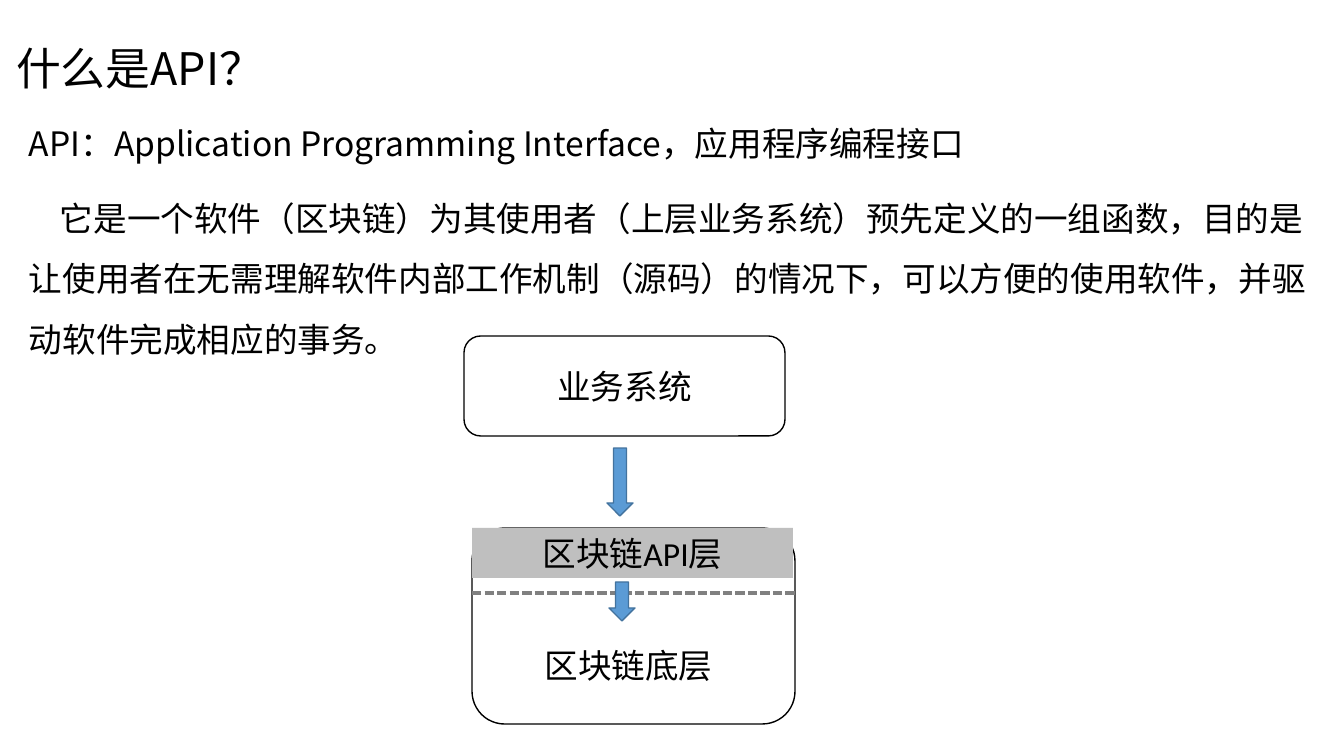
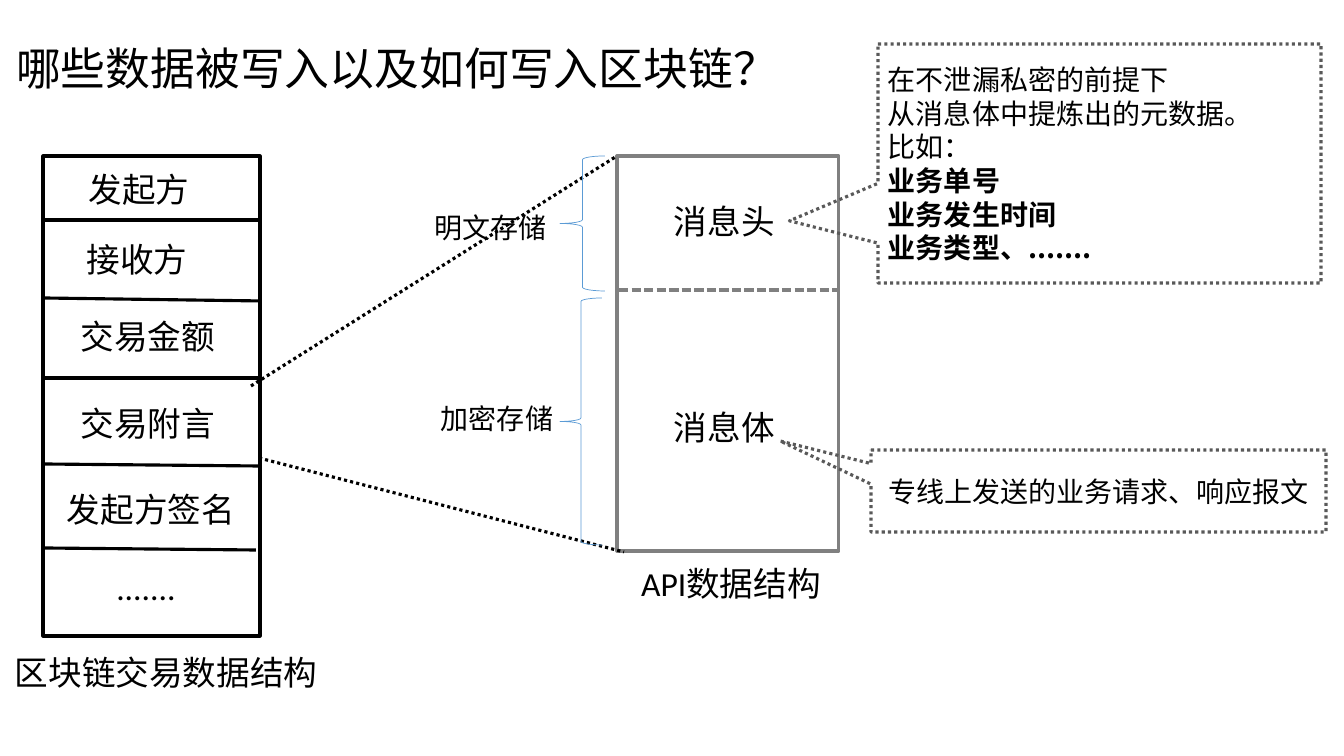
"""Build two slides on what an API is and which data goes on a blockchain."""
from lxml import etree
from pptx import Presentation, util as u
from pptx.dml.color import RGBColor
from pptx.enum import dml, shapes, text
from pptx.oxml import ns

PX = 914400 / 100.8
NOTO, CAL = "Noto Sans CJK SC", "Calibri"
INK = {"black": "000000", "white": "FFFFFF", "grey": "808080", "dark": "595959",
       "pale": "BFBFBF", "blue": "5B9BD5", "navy": "43739E"}
KIND = shapes.MSO_SHAPE
LINE = shapes.MSO_CONNECTOR.STRAIGHT
DASH = dml.MSO_LINE.SQUARE_DOT
DOT = dml.MSO_LINE.ROUND_DOT
LEFT, MID = text.PP_ALIGN.LEFT, text.PP_ALIGN.CENTER
TOP, HALF, LOW = text.MSO_ANCHOR.TOP, text.MSO_ANCHOR.MIDDLE, text.MSO_ANCHOR.BOTTOM


def draw(page, kind, *box, fill=None, line=None, width=1, dash=None):
    """Add a text box, a line (box holds its two ends) or a preset shape."""
    box = [round(n * PX) for n in box]
    if kind is None:
        return page.shapes.add_textbox(*box)
    if kind is LINE:
        item = page.shapes.add_connector(kind, *box)
        etree.SubElement(item._element.spPr, ns.qn("a:effectLst"))
    else:
        item = page.shapes.add_shape(kind, *box)
        item.shadow.inherit = False
        if fill:
            item.fill.solid()
            item.fill.fore_color.rgb = RGBColor.from_string(INK[fill])
        else:
            item.fill.background()
    if line:
        item.line.color.rgb = RGBColor.from_string(INK[line])
        item.line.width = u.Pt(width)
        if dash:
            item.line.dash_style = dash
    else:
        item.line.fill.background()
    return item


def write(item, words, size=24, font=CAL, align=MID, anchor=TOP, bold=(),
          space=None, before=0, indent=()):
    """Fill an item; bold and indent hold paragraph numbers."""
    frame = item.text_frame
    frame.text = words
    frame.word_wrap = True
    frame.auto_size = text.MSO_AUTO_SIZE.NONE
    frame.vertical_anchor = anchor
    for num, para in enumerate(frame.paragraphs):
        para.alignment = align
        para.space_before = u.Pt(before)
        if space:
            para.line_spacing = space
        if num in indent:
            para._p.get_or_add_pPr().set("indent", str(round(31 * PX)))
        for run in para.runs:
            run.font.size = u.Pt(size)
            run.font.name = font
            run.font.bold = num in bold
            run.font.color.rgb = RGBColor.from_string(INK["black"])
            east = etree.SubElement(run._r.get_or_add_rPr(), ns.qn("a:ea"))
            east.set("typeface", NOTO)


deck = Presentation()
deck.slide_width, deck.slide_height = round(1344 * PX), round(756 * PX)
pages = []
for words, wide in [("什么是API？", 528), ("哪些数据被写入以及如何写入区块链？", 804)]:
    page = deck.slides.add_slide(deck.slide_layouts[5])
    title = page.shapes.title
    title.left, title.top, title.width, title.height = [
        round(n * PX) for n in (6, 6, wide, 94)]
    write(title, words, size=32, font=NOTO, align=LEFT, anchor=LOW, space=0.9)
    pages.append(page)
intro, data = pages

body = draw(intro, None, 19, 98, 1302, 291)
write(body, "API：Application Programming Interface，应用程序编程接口\n"
      "它是一个软件（区块链）为其使用者（上层业务系统）预先定义的一组函数，"
      "目的是让使用者在无需理解软件内部工作机制（源码）的情况下，"
      "可以方便的使用软件，并驱动软件完成相应的事务。",
      font=NOTO, align=LEFT, space=1.5, before=10, indent=(1,))
system = draw(intro, KIND.ROUNDED_RECTANGLE, 464, 336, 321, 100,
              fill="white", line="black")
write(system, "业务系统", anchor=HALF)
draw(intro, KIND.DOWN_ARROW, 607, 448, 26, 68, fill="blue", line="navy")
draw(intro, KIND.ROUNDED_RECTANGLE, 472, 528, 323, 196, fill="white", line="black")
write(draw(intro, None, 489, 640, 279, 50), "区块链底层")
draw(intro, LINE, 472, 593, 795, 593, line="grey", width=2.25, dash=DASH)
layer = draw(intro, KIND.RECTANGLE, 472, 528, 321, 50, fill="pale")
write(layer, "区块链API层")
draw(intro, KIND.DOWN_ARROW, 609, 582, 26, 39, fill="blue", line="navy")

draw(data, KIND.RECTANGLE, 617, 156, 222, 395, fill="white", line="grey", width=2.25)
draw(data, LINE, 619, 290, 839, 290, line="grey", width=2.25, dash=DASH)
for words, top in [("消息头", 196), ("消息体", 402)]:
    write(draw(data, None, 664, top, 124, 50), words, align=LEFT)
write(draw(data, None, 600, 558, 262, 50), "API数据结构")
for ends in [(251, 386, 617, 156), (259, 458, 624, 552)]:
    draw(data, LINE, *ends, line="black", width=2.25, dash=DOT)

notes = [
    ((871, 450, 455, 82), -0.61, MID, "专线上发送的业务请求、响应报文"),
    ((878, 44, 443, 239), 0.24, LEFT,
     "在不泄漏私密的前提下\n从消息体中提炼出的元数据。\n比如：\n"
     "业务单号\n业务发生时间\n业务类型、......."),
]
for box, tip, align, words in notes:
    note = draw(data, KIND.RECTANGULAR_CALLOUT, *box, line="dark", width=2.25, dash=DOT)
    note.adjustments[0], note.adjustments[1] = -0.7, tip
    write(note, words, size=20, font=NOTO, align=align, anchor=HALF, bold=(3, 4, 5))

stores = [
    ("明文存储", (425, 206), (560, 156, 45, 135)),
    ("加密存储", (431, 397), (560, 298, 42, 247)),
]
for words, spot, brace in stores:
    draw(data, KIND.LEFT_BRACE, *brace, line="blue", width=0.5)
    write(draw(data, None, *spot, 140, 43), words, size=20, align=LEFT)

write(draw(data, None, 5, 647, 333, 50), "区块链交易数据结构", align=LEFT)
draw(data, KIND.RECTANGLE, 43, 156, 217, 480, line="black", width=2.25)
for ends in [(45, 220, 259, 220), (45, 298, 262, 301), (45, 378, 260, 378),
             (45, 464, 258, 466), (43, 548, 256, 550)]:
    draw(data, LINE, *ends, line="black", width=2.25)
fields = [("发起方", 139, 164), ("接收方", 137, 234), ("交易金额", 148, 311),
          ("交易附言", 148, 398), ("发起方签名", 151, 484), (".......", 146, 562)]
for words, mid, top in fields:
    write(draw(data, None, mid - 97, top, 194, 50), words)

deck.save("out.pptx")
